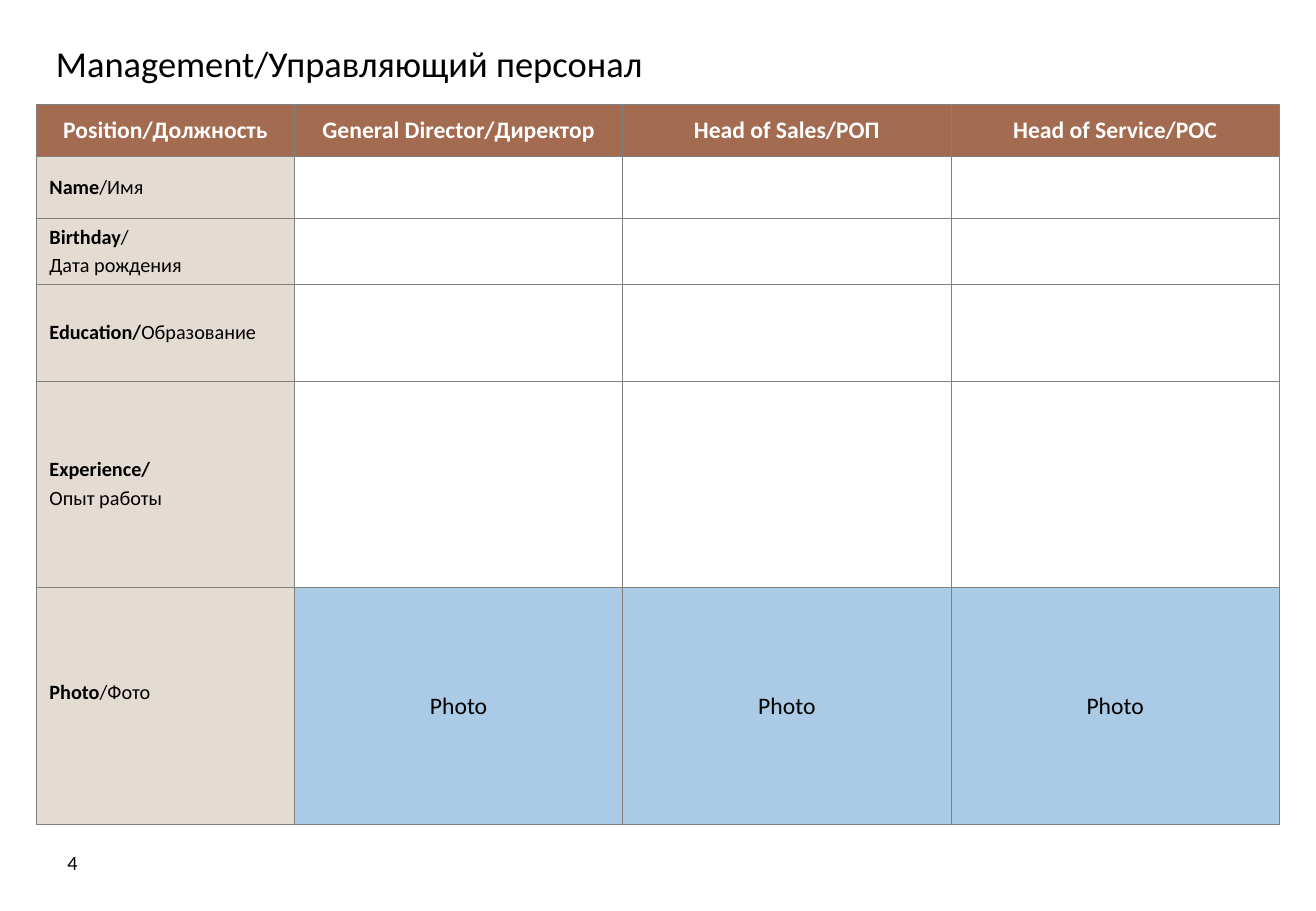
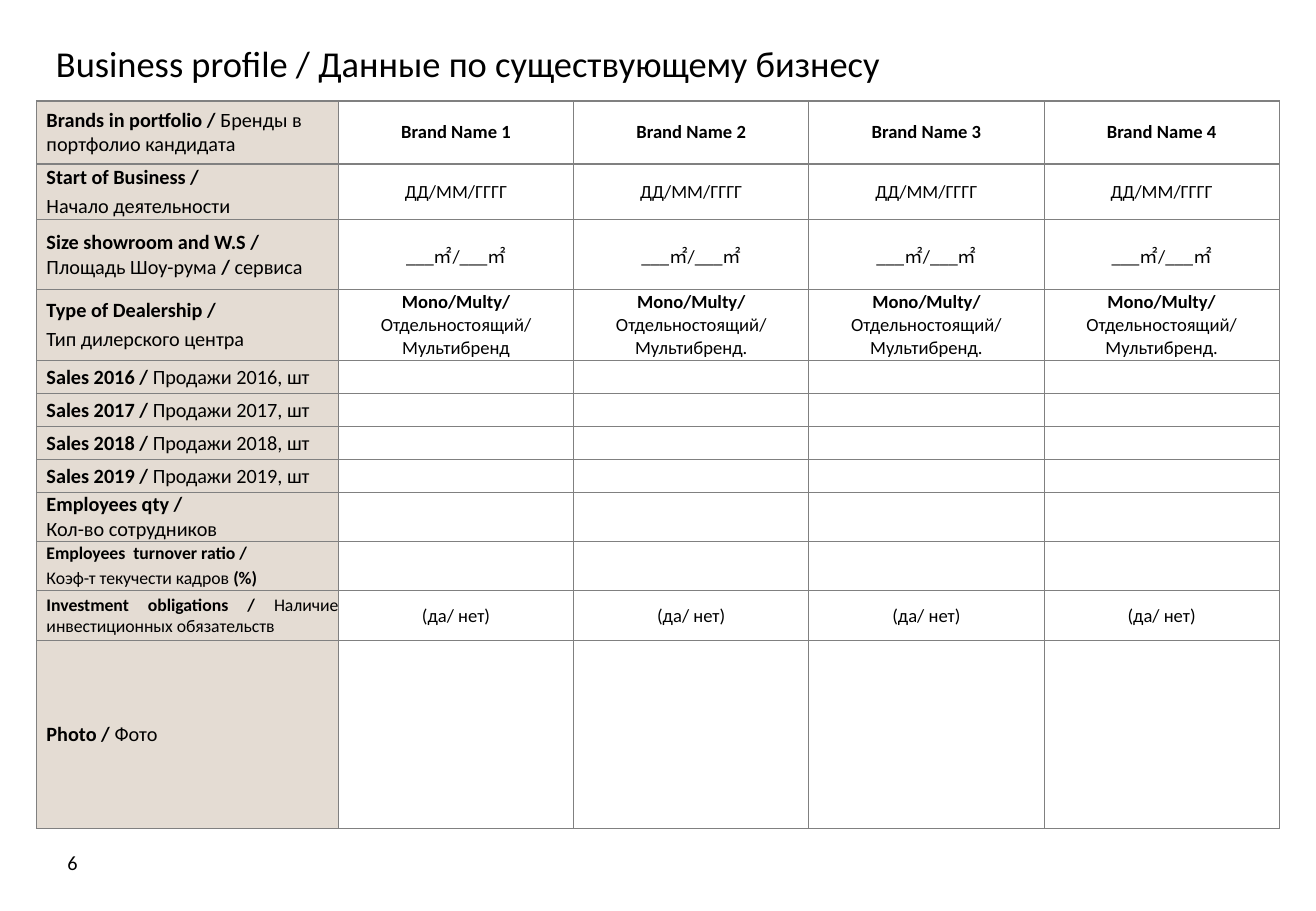
from lxml import etree
from pptx import Presentation
from pptx.dml.color import RGBColor
from pptx.enum.text import MSO_ANCHOR, PP_ALIGN
from pptx.oxml.ns import qn
from pptx.util import Pt

LEFT, MID, JUST = PP_ALIGN.LEFT, PP_ALIGN.CENTER, PP_ALIGN.JUSTIFY
CENTER = MSO_ANCHOR.MIDDLE
BLACK = RGBColor(0x00, 0x00, 0x00)
WHITE = RGBColor(0xFF, 0xFF, 0xFF)
BROWN = RGBColor(0xA3, 0x6B, 0x4F)
SAND = RGBColor(0xE4, 0xDC, 0xD3)
BLUE = RGBColor(0xAA, 0xCA, 0xE6)
GRAY = RGBColor(0x80, 0x80, 0x80)
FONT = "Calibri"
SCALE = 914400 / 121.5
TABLE_X, TABLE_W = 36.5, 1243


def px(n):
    return round(n * SCALE)


def write(frame, text, size, color=BLACK, align=LEFT, gap=0.2):
    """Lines become paragraphs; text between asterisks is bold."""
    for i, line in enumerate(text.split("\n")):
        para = frame.add_paragraph() if i else frame.paragraphs[0]
        para.alignment = align
        if i:
            para.space_before = Pt(size * gap)
        for k, part in enumerate(line.split("*")):
            if part:
                run = para.add_run()
                run.text = part
                font = run.font
                font.name, font.size, font.bold = FONT, Pt(size), k % 2 == 1
                font.color.rgb = color


def add_text(slide, box, text, size, align=LEFT):
    frame = slide.shapes.add_textbox(*map(px, box)).text_frame
    frame.word_wrap = True
    frame.vertical_anchor = CENTER
    write(frame, text, size, align=align)


def add_page(deck, title, number):
    slide = deck.slides.add_slide(deck.slide_layouts[6])
    add_text(slide, (44, 35, 1216, 56), title, 21.6)
    add_text(slide, (36, 838, 73, 49), number, 12, MID)
    return slide


def add_grid(slide, top, first, count, heights):
    """Table with one label column and equal columns after it."""
    shape = slide.shapes.add_table(len(heights), count + 1, px(TABLE_X), px(top),
                                   px(TABLE_W), px(sum(heights)))
    table = shape.table
    table.first_row = table.horz_banding = False
    for i, col in enumerate(table.columns):
        col.width = px((TABLE_W - first) / count if i else first)
    for row, height in zip(table.rows, heights):
        row.height = px(height)
    return table


def add_border(cell):
    props = cell._tc.get_or_add_tcPr()
    for i, side in enumerate(("a:lnL", "a:lnR", "a:lnT", "a:lnB")):
        line = etree.Element(qn(side), w=str(Pt(0.75)))
        fill = etree.SubElement(line, qn("a:solidFill"))
        etree.SubElement(fill, qn("a:srgbClr"), val=str(GRAY))
        props.insert(i, line)


def set_cell(cell, text, size, fill, inset, **style):
    cell.vertical_anchor = CENTER
    (cell.margin_left, cell.margin_top,
     cell.margin_right, cell.margin_bottom) = map(px, inset)
    cell.fill.solid()
    cell.fill.fore_color.rgb = fill
    add_border(cell)
    if text:
        write(cell.text_frame, text, size, **style)
    else:
        # An empty cell needs its own text size to keep the row low
        end = etree.SubElement(cell.text_frame.paragraphs[0]._p, qn("a:endParaRPr"))
        end.set("sz", str(size * 100))


def add_staff(deck):
    slide = add_page(deck, "Management/Управляющий персонал", "4")
    heads = ["Position/Должность", "General Director/Директор",
             "Head of Sales/РОП", "Head of Service/РОС"]
    labels = ["*Name*/Имя", "*Birthday*/\nДата рождения", "*Education/*Образование",
              "*Experience/* \nОпыт работы ", "*Photo*/Фото"]
    table = add_grid(slide, 104.5, 258, 3, [52, 62, 66, 97, 206, 237])
    inset = (13, 6, 13, 6)
    for c, head in enumerate(heads):
        set_cell(table.cell(0, c), f"*{head}*", 14, BROWN, inset, color=WHITE, align=MID)
    for r, label in enumerate(labels, 1):
        photo = r == len(labels)
        # The photo label sits a little above the middle
        set_cell(table.cell(r, 0), label, 12, SAND, (13, 6, 13, 32) if photo else inset)
        for c in range(1, 4):
            set_cell(table.cell(r, c), "Photo" if photo else "", 14,
                     BLUE if photo else WHITE, inset, align=MID)


def add_profile(deck):
    slide = add_page(deck, "Business profile / Данные по существующему бизнесу", "6")
    brands = [f"*Brand Name {n}*" for n in range(1, 5)]
    kind = "*Mono/Multy/*Отдельностоящий/Мультибренд"
    none = [""] * 4
    small = {"size": 10.5, "align": JUST}
    # Row height, label, values, label style
    rows = [
        (63, "*Brands in portfolio /* Бренды в портфолио кандидата", brands, {}),
        (56, "*Start of Business / *\nНачало деятельности", ["ДД/ММ/ГГГГ"] * 4, {}),
        (70, "*Size showroom and W.S / *Площадь Шоу-рума */* сервиса",
         ["___㎡/___㎡"] * 4, {}),
        (71, "*Type of Dealership / *\nТип дилерского центра",
         [kind] + [kind + "."] * 3, {}),
        *[(33, f"*Sales {year} / *Продажи {year}, шт", none, {})
          for year in range(2016, 2020)],
        (49, "*Employees qty /*\nКол-во сотрудников", none, {"gap": 0}),
        (49, "*Employees  turnover ratio / *\nКоэф-т текучести кадров *(%)*", none, small),
        (50, "*Investment obligations /* Наличие инвестиционных обязательств",
         ["(да/ нет)"] * 4, small),
        (188, "*Photo /* Фото", none, {}),
    ]
    table = add_grid(slide, 101, 302, 4, [row[0] for row in rows])
    for r, (_, label, values, style) in enumerate(rows):
        set_cell(table.cell(r, 0), label, fill=SAND, inset=(10, 0, 0, 0),
                 **{"size": 12, **style})
        for c, value in enumerate(values, 1):
            set_cell(table.cell(r, c), value, 11, WHITE, (13, 0, 13, 0), align=MID)


def main():
    deck = Presentation()
    deck.slide_width, deck.slide_height = px(1316), px(911)
    add_staff(deck)
    add_profile(deck)
    deck.save("out.pptx")


main()
